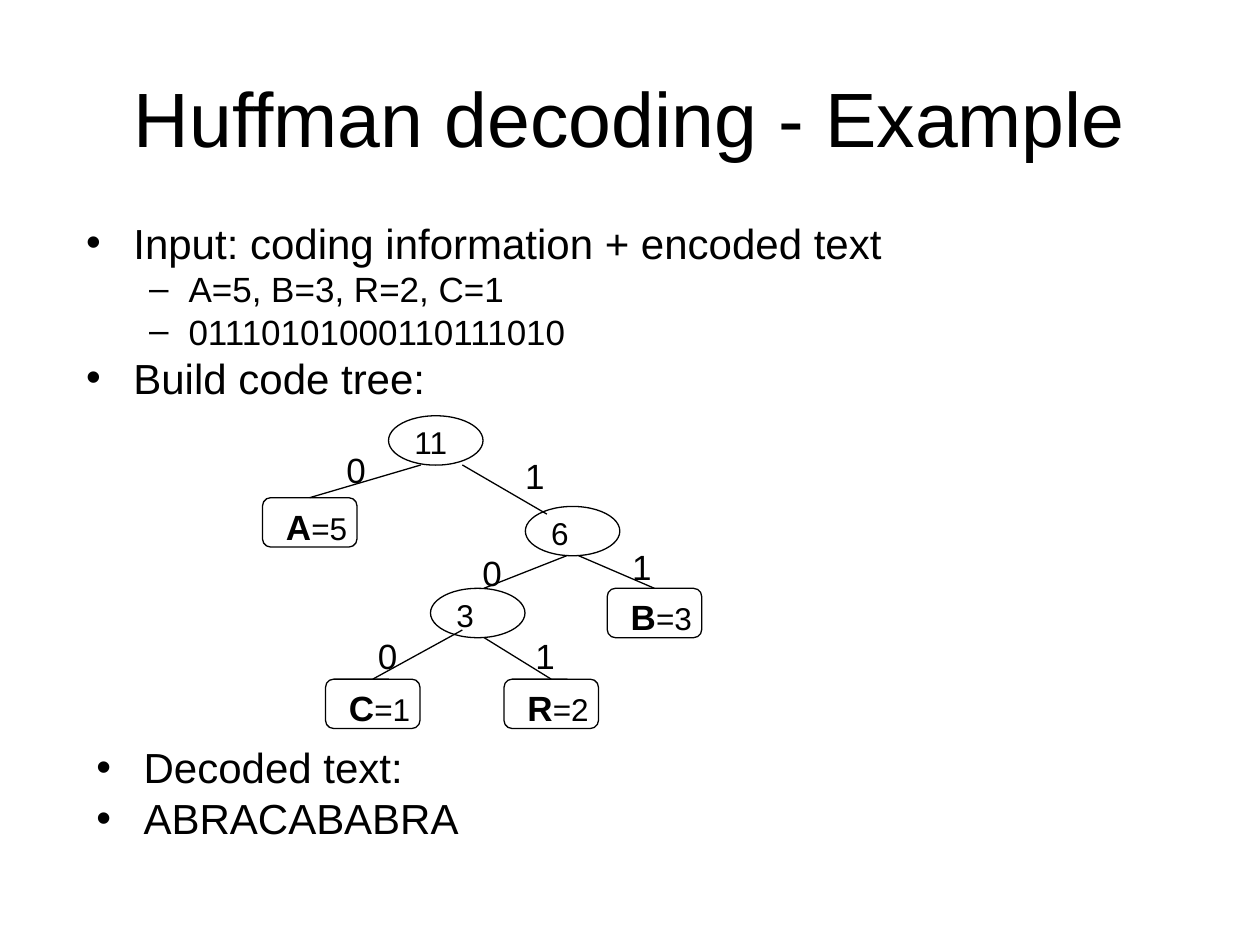
from dataclasses import dataclass
from typing import Optional

from lxml.etree import SubElement
from pptx import Presentation
from pptx.dml.color import RGBColor
from pptx.enum.shapes import MSO_CONNECTOR as Connector, MSO_SHAPE as Preset
from pptx.enum.text import MSO_ANCHOR as Anchor, MSO_AUTO_SIZE as AutoSize, PP_ALIGN as Align
from pptx.oxml.ns import qn
from pptx.util import Pt

COLORS = {"ink": "000000"}
FONT = "Arial"
NODE_W, NODE_H = 54, 28.2
TOP_SITE = 0


@dataclass(frozen=True)
class Node:
    x: float
    y: float
    weight: str
    symbol: str = ""


@dataclass(frozen=True)
class Branch:
    start: tuple[float, float]
    end: tuple[float, float]
    bit: str
    bit_at: tuple[float, float]
    leaf: Optional[str] = None


@dataclass(frozen=True)
class Bullet:
    text: str
    level: int = 0


NODES = [
    Node(222, 237.6, "11"),
    Node(300.2, 289.4, "6"),
    Node(246, 336.2, "3"),
    Node(150, 284.4, "=5", "A"),
    Node(186, 388.1, "=1", "C"),
    Node(288, 388.1, "=2", "R"),
    Node(347, 336.2, "=3", "B"),
]
BRANCHES = [
    Branch((240.5, 265.7), (180, 284.4), "0", (190.8, 252.7), "A"),
    Branch((264.2, 265.7), (312.5, 293.8), "1", (293, 256.3)),
    Branch((324, 317.5), (276.5, 336.2), "0", (268.6, 311.8)),
    Branch((330.5, 317.5), (372.2, 336.2), "1", (354.2, 308.2), "B"),
    Branch((264.2, 360), (210.2, 388.1), "0", (208.8, 359.3), "C"),
    Branch((276.5, 364.3), (312.5, 388.1), "1", (298.8, 359.3), "R"),
]
INPUT = [
    Bullet("Input: coding information + encoded text"),
    Bullet("A=5, B=3, R=2, C=1", 1),
    Bullet("01110101000110111010", 1),
    Bullet("Build code tree:"),
]
OUTPUT = [Bullet("Decoded text:"), Bullet("ABRACABABRA")]


def ink() -> RGBColor:
    return RGBColor.from_string(COLORS["ink"])


def add_run(paragraph, text: str, size: float, bold: bool = False) -> None:
    run = paragraph.add_run()
    run.text = text
    run.font.name = FONT
    run.font.size = Pt(size)
    run.font.bold = bold
    run.font.color.rgb = ink()


def place(shape, x: float, y: float, width: float, height: float) -> None:
    shape.left, shape.top, shape.width, shape.height = map(Pt, (x, y, width, height))


def fill_bullets(frame, bullets: list[Bullet]) -> None:
    frame.word_wrap = True
    frame.auto_size = AutoSize.NONE
    frame.vertical_anchor = Anchor.TOP
    for index, bullet in enumerate(bullets):
        paragraph = frame.add_paragraph() if index else frame.paragraphs[0]
        margin, hang, mark, size, before = [
            (27, 27, "•", 24, 6),
            (58.5, 22.5, "–", 20, 5),
        ][bullet.level]
        paragraph.level = bullet.level
        properties = paragraph._p.get_or_add_pPr()
        properties.set("marL", str(Pt(margin)))
        properties.set("indent", str(-Pt(hang)))
        SubElement(properties, qn("a:buFont"), typeface=FONT)
        SubElement(properties, qn("a:buChar"), char=mark)
        paragraph.line_spacing = 0.8
        paragraph.space_before = Pt(before if index else 0)
        paragraph.font.size = Pt(size)
        add_run(paragraph, bullet.text, size)


def add_label(group, x: float, y: float, width: float, height: float):
    label = group.shapes.add_textbox(Pt(x), Pt(y), Pt(width), Pt(height))
    label.text_frame.word_wrap = False
    label.text_frame.auto_size = AutoSize.SHAPE_TO_FIT_TEXT
    return label.text_frame.paragraphs[0]


def draw_node(group, node: Node):
    preset = Preset.ROUNDED_RECTANGLE if node.symbol else Preset.OVAL
    outline = group.shapes.add_shape(preset, Pt(node.x), Pt(node.y), Pt(NODE_W), Pt(NODE_H))
    outline.shadow.inherit = False
    outline.fill.background()
    outline.line.color.rgb = ink()
    outline.line.width = Pt(0.75)
    if node.symbol:
        label = add_label(group, node.x + 6.3, node.y + 0.7, 51, 31.5)
        add_run(label, node.symbol, 20, bold=True)
    else:
        width = 14.5 + 10.2 * len(node.weight)
        label = add_label(group, node.x + 7.7, node.y + 0.7, width, 29)
    add_run(label, node.weight, 18)
    return outline


def draw_branch(group, branch: Branch, leaves: dict) -> None:
    line = group.shapes.add_connector(
        Connector.STRAIGHT, *map(Pt, branch.start + branch.end)
    )
    if branch.leaf:
        line.end_connect(leaves[branch.leaf], TOP_SITE)
    line.line.color.rgb = ink()
    line.line.width = Pt(0.75)
    SubElement(line._element.spPr, qn("a:effectLst"))
    add_run(add_label(group, *branch.bit_at, 25.7, 31.5), branch.bit, 20)


def main() -> None:
    deck = Presentation()
    deck.slide_width, deck.slide_height = Pt(720), Pt(540)
    slide = deck.slides.add_slide(deck.slide_layouts[1])

    title, body = slide.placeholders
    place(title, 36, 21.6, 648, 90)
    heading = title.text_frame.paragraphs[0]
    heading.alignment = Align.CENTER
    title.text_frame.vertical_anchor = Anchor.MIDDLE
    add_run(heading, "Huffman decoding - Example", 44)

    place(body, 42, 126, 642, 108)
    fill_bullets(body.text_frame, INPUT)

    tree = slide.shapes.add_group_shape()
    outlines = {node.symbol: draw_node(tree, node) for node in NODES}
    for branch in BRANCHES:
        draw_branch(tree, branch, outlines)

    decoded = slide.shapes.add_textbox(Pt(48), Pt(426), Pt(672), Pt(108))
    fill_bullets(decoded.text_frame, OUTPUT)

    deck.save("out.pptx")


if __name__ == "__main__":
    main()
